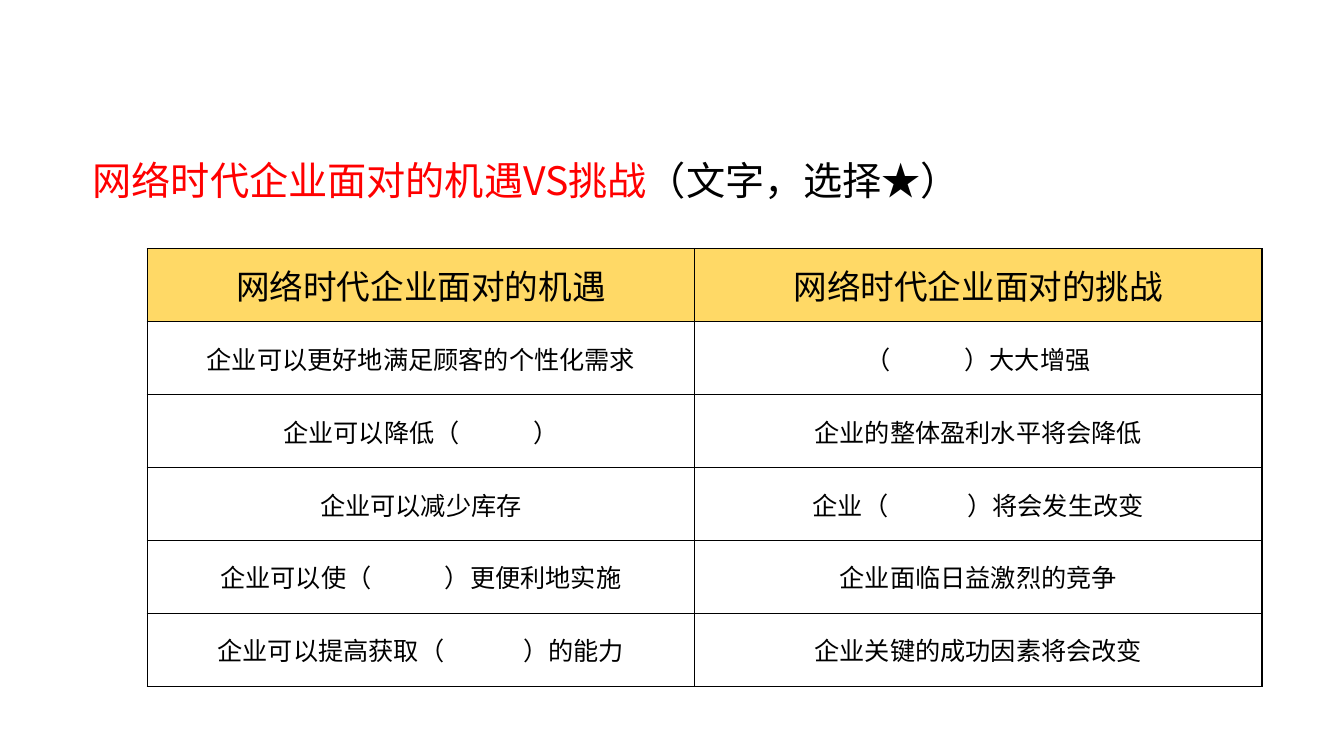
from lxml import etree
from pptx import Presentation
from pptx.dml.color import RGBColor
from pptx.enum import text as t
from pptx.oxml import ns
from pptx.util import Pt

FONT = "Noto Sans CJK SC"
HUES = {"red": "FF0000", "black": "000000", "gold": "FFD966"}
NARROW, WIDE = 48.4, 52.4
HEADS = ["网络时代企业面对的机遇", "网络时代企业面对的挑战"]
ROWS = [
    (["企业可以更好地满足顾客的个性化需求"], ["（", NARROW, "）大大增强"]),
    (["企业可以降低（", NARROW, "）"], ["企业的整体盈利水平将会降低"]),
    (["企业可以减少库存"], ["企业（", WIDE, "）将会发生改变"]),
    (["企业可以使（", NARROW, "）更便利地实施"], ["企业面临日益激烈的竞争"]),
    (["企业可以提高获取（", WIDE, "）的能力"], ["企业关键的成功因素将会改变"]),
]


def hue(name):
    return RGBColor.from_string(HUES[name])


def write(para, piece, size=18, color="black"):
    run = para.add_run()
    run.font.size = Pt(size)
    run.font.name = FONT
    run.font.color.rgb = hue(color)
    props = run._r.get_or_add_rPr()
    etree.SubElement(props, ns.qn("a:ea"), typeface=FONT)
    if isinstance(piece, str):
        run.text = piece
    else:
        run.text = " "
        props.set("spc", str(round(piece * 100)))


def add_title(slide):
    box = slide.shapes.add_textbox(Pt(57.6), Pt(82.8), Pt(875.5), Pt(74.9))
    frame = box.text_frame
    frame.word_wrap = True
    frame.vertical_anchor = t.MSO_ANCHOR.MIDDLE
    frame.margin_left = frame.margin_right = Pt(8.64)
    frame.margin_top = frame.margin_bottom = Pt(4.32)
    para = frame.paragraphs[0]
    para.line_spacing = 1.5
    write(para, "网络时代企业面对的机遇VS挑战", size=28, color="red")
    write(para, "（文字，选择★）", size=28)


def add_edges(cell):
    props = cell._tc.get_or_add_tcPr()
    for spot, side in enumerate(("lnL", "lnR", "lnT", "lnB")):
        line = etree.Element(ns.qn("a:" + side), w=str(Pt(1)))
        fill = etree.SubElement(line, ns.qn("a:solidFill"))
        etree.SubElement(fill, ns.qn("a:srgbClr"), val=HUES["black"])
        props.insert(spot, line)


def fill_cell(cell, pieces, size=18, back=None):
    cell.vertical_anchor = t.MSO_ANCHOR.MIDDLE
    para = cell.text_frame.paragraphs[0]
    para.alignment = t.PP_ALIGN.CENTER
    for piece in pieces:
        write(para, piece, size=size)
    if back:
        cell.fill.solid()
        cell.fill.fore_color.rgb = hue(back)
    else:
        cell.fill.background()
    add_edges(cell)


def add_grid(slide):
    count = len(ROWS) + 1
    frame = slide.shapes.add_table(count, 2, Pt(105.1), Pt(177.8), Pt(796.3), Pt(312.5))
    table = frame.table
    table.horz_banding = False
    table.first_row = False
    for col, width in zip(table.columns, (391, 405.3)):
        col.width = Pt(width)
    for row in table.rows:
        row.height = Pt(52.08)
    for c, head in enumerate(HEADS):
        fill_cell(table.cell(0, c), [head], size=24, back="gold")
    for r, row in enumerate(ROWS, 1):
        for c, pieces in enumerate(row):
            fill_cell(table.cell(r, c), pieces)


def main():
    deck = Presentation()
    deck.slide_width, deck.slide_height = Pt(960), Pt(540)
    slide = deck.slides.add_slide(deck.slide_layouts[6])
    add_title(slide)
    add_grid(slide)
    deck.save("out.pptx")


if __name__ == "__main__":
    main()
